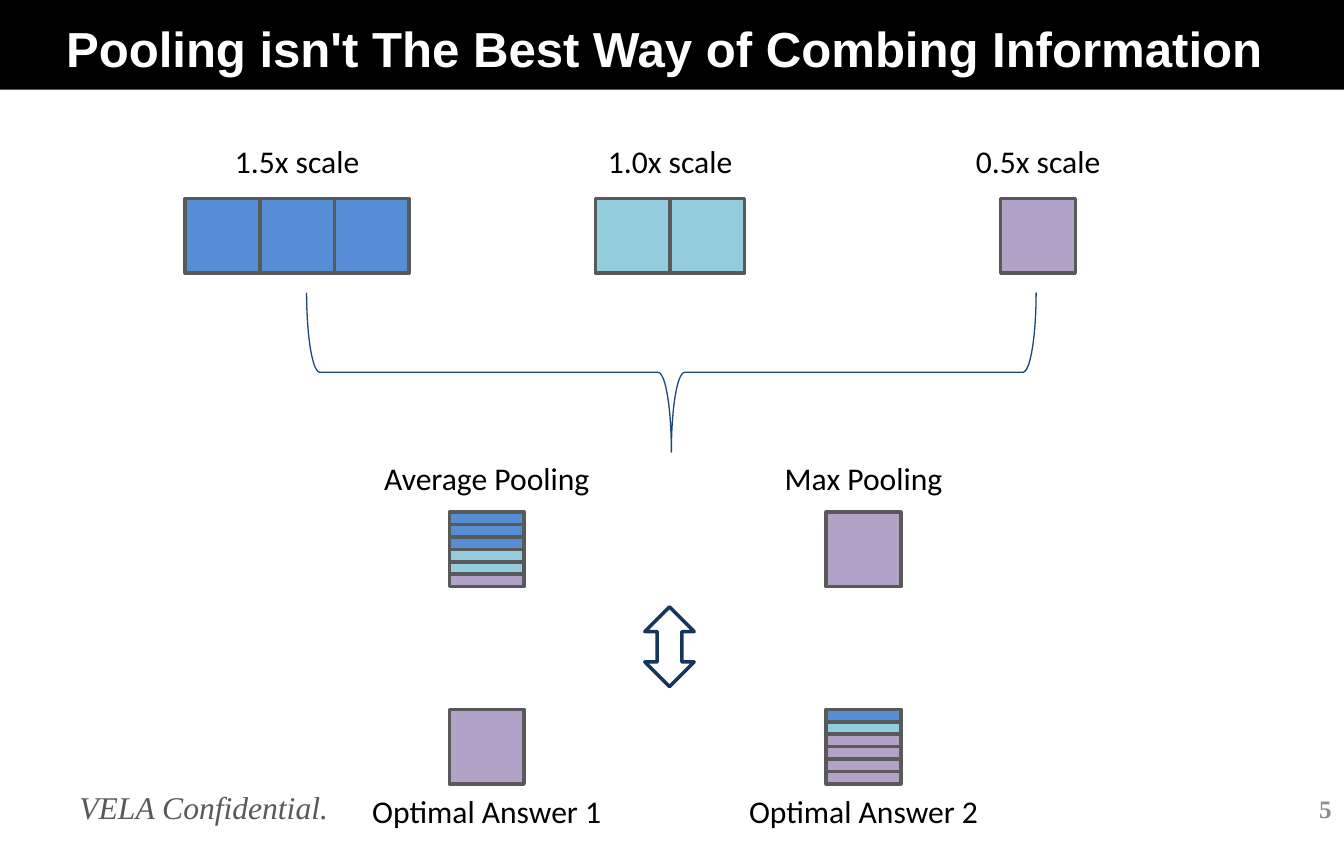
from dataclasses import dataclass

from pptx import Presentation
from pptx.dml.color import RGBColor
from pptx.enum.shapes import MSO_SHAPE
from pptx.enum.text import MSO_ANCHOR, PP_ALIGN
from pptx.util import Inches, Pt

RECT = MSO_SHAPE.RECTANGLE
BRACE = MSO_SHAPE.RIGHT_BRACE
UP_DOWN_ARROW = MSO_SHAPE.UP_DOWN_ARROW
LEFT, CENTER, RIGHT = PP_ALIGN.LEFT, PP_ALIGN.CENTER, PP_ALIGN.RIGHT
TOP, MIDDLE = MSO_ANCHOR.TOP, MSO_ANCHOR.MIDDLE


@dataclass(frozen=True)
class Theme:
    black: str = "000000"
    white: str = "FFFFFF"
    large: str = "558ED5"
    medium: str = "93CDDD"
    small: str = "B3A2C7"
    outline: str = "595959"
    brace: str = "1C477D"
    arrow: str = "17365C"
    page: str = "8C8C8C"
    title_font: str = "Arial"
    body_font: str = "Calibri"
    footer_font: str = "Times New Roman"
    title_size: float = 28
    body_size: float = 18
    page_size: float = 14.3
    thin: float = 0.75
    thick: float = 2


THEME = Theme()
SLIDE_W, SLIDE_H = 10.63, 6.69
TILE = 0.59
LABEL_H = 0.4
SCALE_Y, POOL_Y, ANSWER_Y = 1.57, 4.05, 5.61
SCALE_LABEL_Y, POOL_LABEL_Y, ANSWER_LABEL_Y = 1.07, 3.58, 6.21
LEFT_X, MIDDLE_X, RIGHT_X = 3.85, 5.3, 6.83


def add_shape(shapes, kind, x, y, w, h, fill=None, line=None, width=THEME.thick):
    sp = shapes.add_shape(kind, Inches(x), Inches(y), Inches(w), Inches(h))
    sp.shadow.inherit = False
    if fill:
        sp.fill.solid()
        sp.fill.fore_color.rgb = RGBColor.from_string(fill)
    else:
        sp.fill.background()
    if line:
        sp.line.color.rgb = RGBColor.from_string(line)
        sp.line.width = Pt(width)
    else:
        sp.line.fill.background()
    return sp


def write(sp, text, font, size, color, align, anchor, bold=False, italic=False):
    tf = sp.text_frame
    tf.word_wrap = True
    tf.vertical_anchor = anchor
    p = tf.paragraphs[0]
    p.alignment = align
    r = p.add_run()
    r.text = text
    r.font.name = font
    r.font.size = Pt(size)
    r.font.bold = bold
    r.font.italic = italic
    r.font.color.rgb = RGBColor.from_string(color)


def add_text(shapes, x, y, w, h, *style, **emphasis):
    sp = shapes.add_textbox(Inches(x), Inches(y), Inches(w), Inches(h))
    write(sp, *style, **emphasis)
    return sp


def add_label(shapes, text, center, y, width):
    """Centre a one-line label, with side margins removed so that it fits."""
    sp = add_text(shapes, center - width / 2, y, width, LABEL_H, text,
                  THEME.body_font, THEME.body_size, THEME.black, CENTER, TOP)
    tf = sp.text_frame
    tf.margin_left = tf.margin_right = Inches(0)


def add_row(shapes, colors, center, y):
    """Draw full tiles side by side, centred on one point."""
    group = shapes.add_group_shape() if len(colors) > 1 else None
    target = group.shapes if group else shapes
    left = center - len(colors) * TILE / 2
    for i, color in enumerate(colors):
        add_shape(target, RECT, left + i * TILE, y, TILE, TILE, color, THEME.outline)


def add_stack(shapes, colors, center, y):
    """Split one tile into equal horizontal stripes."""
    group = shapes.add_group_shape()
    stripe = TILE / len(colors)
    for i, color in enumerate(colors):
        add_shape(group.shapes, RECT, center - TILE / 2, y + i * stripe,
                  TILE, stripe, color, THEME.outline)


def add_title(shapes, text):
    sp = add_shape(shapes, RECT, 0, 0, SLIDE_W, 0.71, THEME.black)
    write(sp, text, THEME.title_font, THEME.title_size, THEME.white,
          CENTER, MIDDLE, bold=True)
    tf = sp.text_frame
    tf.margin_top, tf.margin_right = Inches(0.1), Inches(0.22)


def add_footer(shapes, text, page):
    add_text(shapes, 0.53, 6.2, 2.48, 0.36, text, THEME.footer_font,
             THEME.body_size, THEME.outline, LEFT, MIDDLE, italic=True)
    add_text(shapes, 8.12, 6.21, 2.51, 0.36, page, THEME.footer_font,
             THEME.page_size, THEME.page, RIGHT, MIDDLE, bold=True)


def main():
    prs = Presentation()
    prs.slide_width, prs.slide_height = Inches(SLIDE_W), Inches(SLIDE_H)
    shapes = prs.slides.add_slide(prs.slide_layouts[6]).shapes
    large, medium, small = THEME.large, THEME.medium, THEME.small

    add_title(shapes, "Pooling isn't The Best Way of Combing Information")

    scales = [
        ("1.5x scale", 2.35, [large] * 3),
        ("1.0x scale", MIDDLE_X, [medium] * 2),
        ("0.5x scale", 8.21, [small]),
    ]
    for text, center, colors in scales:
        add_label(shapes, text, center, SCALE_LABEL_Y, 1.18)
        add_row(shapes, colors, center, SCALE_Y)

    brace = add_shape(shapes, BRACE, 4.68, 0.06, 1.26, 5.77,
                      line=THEME.brace, width=THEME.thin)
    brace.rotation = 90

    add_label(shapes, "Average Pooling", LEFT_X, POOL_LABEL_Y, 1.82)
    add_stack(shapes, [large] * 3 + [medium] * 2 + [small], LEFT_X, POOL_Y)
    add_label(shapes, "Max Pooling", RIGHT_X, POOL_LABEL_Y, 1.45)
    add_row(shapes, [small], RIGHT_X, POOL_Y)

    add_shape(shapes, UP_DOWN_ARROW, 5.1, 4.8, 0.39, 0.63, line=THEME.arrow)

    add_row(shapes, [small], LEFT_X, ANSWER_Y)
    add_label(shapes, "Optimal Answer 1", LEFT_X, ANSWER_LABEL_Y, 2.01)
    add_stack(shapes, [large, medium] + [small] * 4, RIGHT_X, ANSWER_Y)
    add_label(shapes, "Optimal Answer 2", RIGHT_X, ANSWER_LABEL_Y, 2.01)

    add_footer(shapes, "VELA Confidential.", "5")
    prs.save("out.pptx")


if __name__ == "__main__":
    main()
